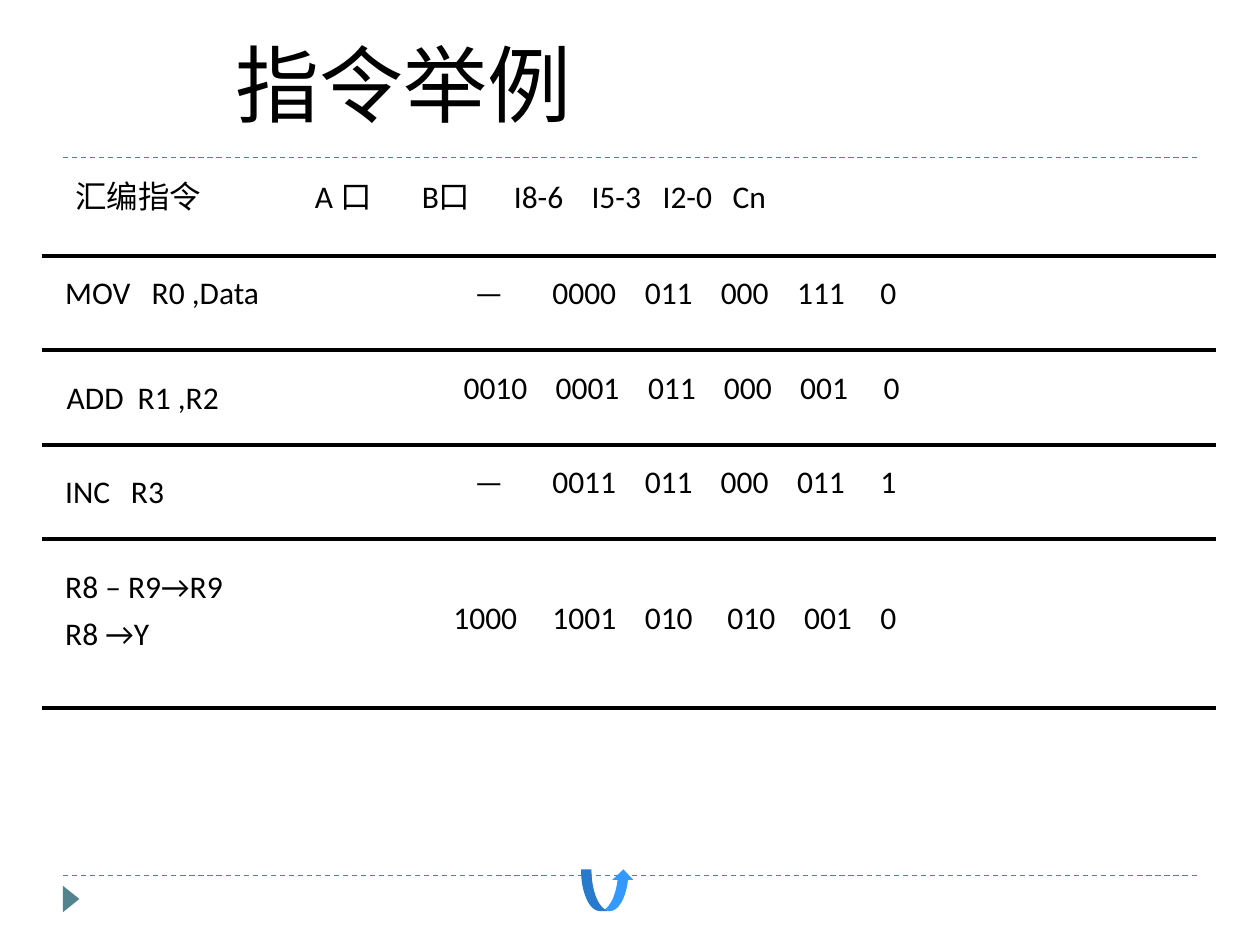
"""Build a slide that lists example instructions with their control codes."""
import lxml.etree
import pptx
import pptx.dml.color
import pptx.enum.dml
import pptx.enum.shapes
import pptx.enum.text
import pptx.oxml.ns
import pptx.util

Pt = pptx.util.Pt
qn = pptx.oxml.ns.qn
COLORS = {"text": "000000", "rule": "000000", "accent": "51848E", "arrow": "3399FF"}
LATIN, CHINESE = "Calibri", "Noto Sans CJK SC"
INSET = 7.2


def rgb(name):
    return pptx.dml.color.RGBColor.from_string(COLORS[name])


def add_text(left, top, width, height, lines, stops=(), size=18, font=LATIN):
    frame = slide.shapes.add_textbox(Pt(left), Pt(top), Pt(width), Pt(height)).text_frame
    frame.word_wrap = True
    frame.auto_size = pptx.enum.text.MSO_AUTO_SIZE.SHAPE_TO_FIT_TEXT
    for index, line in enumerate(lines):
        paragraph = frame.add_paragraph() if index else frame.paragraphs[0]
        paragraph.text = line
        if index:
            paragraph.space_before = Pt(5.4)
        properties = paragraph._p.get_or_add_pPr()
        if stops:
            tabs = lxml.etree.SubElement(properties, qn("a:tabLst"))
            for stop in stops:
                position = Pt(stop - left - INSET)
                lxml.etree.SubElement(tabs, qn("a:tab"), pos=str(position), algn="l")
        paragraph.font.size = Pt(size)
        paragraph.font.name = font
        paragraph.font.color.rgb = rgb("text")
        defaults = properties.find(qn("a:defRPr"))
        lxml.etree.SubElement(defaults, qn("a:ea"), typeface=CHINESE)


presentation = pptx.Presentation()
presentation.slide_width, presentation.slide_height = Pt(720), Pt(540)
slide = presentation.slides.add_slide(presentation.slide_layouts[6])

frame_rules = [(36, 684, y, "accent", 0.75) for y in (90, 500.4)]
row_rules = [(24, 695, y, "rule", 2.25) for y in (146.2, 200.2, 254.2, 308.2, 404.6)]
for start, end, y, color, weight in frame_rules + row_rules:
    rule = slide.shapes.add_connector(
        pptx.enum.shapes.MSO_CONNECTOR.STRAIGHT, Pt(start), Pt(y), Pt(end), Pt(y))
    rule.line.color.rgb = rgb(color)
    rule.line.width = Pt(weight)
    if color == "accent":
        rule.line.dash_style = pptx.enum.dml.MSO_LINE.DASH
    lxml.etree.SubElement(rule._element.spPr, qn("a:effectLst"))

presets = pptx.enum.shapes.MSO_SHAPE
for preset, left, top, width, height, turn, color in [
    (presets.ISOSCELES_TRIANGLE, 33.1, 509, 15.1, 9.4, 90, "accent"),
    (presets.CURVED_UP_ARROW, 332, 496.8, 30.2, 23.8, 0, "arrow"),
]:
    marker = slide.shapes.add_shape(preset, Pt(left), Pt(top), Pt(width), Pt(height))
    marker.rotation = turn
    marker.shadow.inherit = False
    marker.fill.solid()
    marker.fill.fore_color.rgb = rgb(color)
    marker.line.fill.background()

add_text(127.4, 15.1, 447.8, 64.8, ["指令举例"], size=48, font=CHINESE)
add_text(36, 97.9, 664.6, 41, ["汇编指令\tA 口\tB口\tI8-6\tI5-3\tI2-0\tCn"],
         [180, 241.2, 293.8, 338.2, 378.8, 418.8])

for left, top, width, height, lines, operand in [
    (30.2, 152.6, 234, 41, ["MOV\tR0 ,Data"], 86.8),
    (31, 212.4, 185.8, 41, ["ADD\tR1 ,R2"], 78.8),
    (30.2, 266.4, 167.8, 41, ["INC\tR3"], 75),
    (30.2, 320.4, 221.8, 85, ["R8 – R9→R9", "R8 →Y"], None),
]:
    add_text(left, top, width, height, lines, [operand] if operand else [])

code_stops = [315.8, 368.6, 412, 455.6, 503.2]
for left, top, width, codes, stops in [
    (264.2, 152.6, 430.6, "—\t0000\t011\t000\t111\t0", code_stops),
    (257.8, 206.6, 442, "0010\t0001\t011\t000\t001\t0", [stop + 1.8 for stop in code_stops]),
    (264.2, 260.6, 455.8, "—\t0011\t011\t000\t011\t1", code_stops),
    (252, 338.4, 450, "1000\t1001\t010\t010\t001\t0", [315.8, 368.6, 415.8, 459.6, 503.2]),
]:
    add_text(left, top, width, 41, [codes], stops)

presentation.save("out.pptx")
